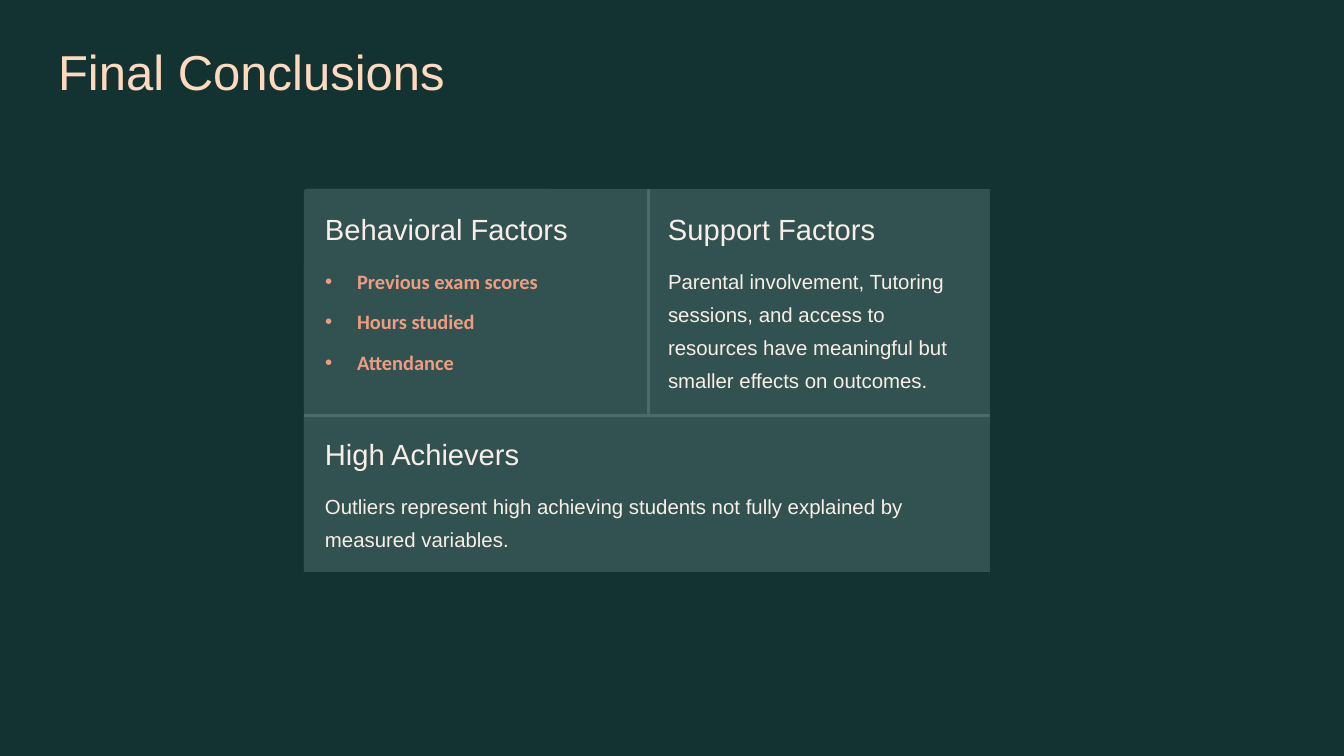
from pptx import Presentation
from pptx.dml.color import RGBColor
from pptx.enum import shapes, text
from pptx.oxml.ns import qn
from pptx.util import Pt
from lxml import etree

PX = 914400 // 84
PANEL, RULE = "315251", "4A6B6A"
CREAM, CORAL, PEACH = "F9EEE7", "EF9C82", "FFD9BE"
PAD = 21
KIND = shapes.MSO_SHAPE


def emu(*vals):
    return [v * PX for v in vals]


def paint(target, color):
    target.solid()
    target.fore_color.rgb = RGBColor.from_string(color)


def block(slide, box, color, radius=0):
    kind = KIND.ROUNDED_RECTANGLE if radius else KIND.RECTANGLE
    shape = slide.shapes.add_shape(kind, *emu(*box))
    shape.shadow.inherit = False
    if radius:
        shape.adjustments[0] = min(0.5, radius / min(box[2:]))
    paint(shape.fill, color)
    shape.line.fill.background()


def bullet(para):
    props = para._p.get_or_add_pPr()
    props.set("marL", str(32 * PX))
    props.set("indent", str(-32 * PX))
    etree.SubElement(props, qn("a:buFont")).set("typeface", "Arial")
    etree.SubElement(props, qn("a:buChar")).set("char", "•")


def write(shape, lines, size, lead, color, font="Arial", wrap=True, bullets=False):
    """Fill a text shape with lines set at an exact leading in points."""
    frame = shape.text_frame
    frame.margin_left = frame.margin_right = 0
    frame.margin_top = frame.margin_bottom = 0
    frame.auto_size = text.MSO_AUTO_SIZE.NONE
    frame.vertical_anchor = text.MSO_ANCHOR.TOP
    frame.word_wrap = wrap
    for i, line in enumerate(lines):
        para = frame.add_paragraph() if i else frame.paragraphs[0]
        para.text = line
        para.alignment = text.PP_ALIGN.LEFT
        para.line_spacing = Pt(lead)
        if i:
            para.space_before = Pt(6.4)
        if bullets:
            bullet(para)
            para.font.bold = True
        para.font.name = font
        para.font.size = Pt(size)
        paint(para.font.fill, color)


def title(slide, box, words):
    shape = slide.shapes.title
    shape.left, shape.top, shape.width, shape.height = emu(*box)
    write(shape, [words], 42, 52.5, PEACH, wrap=False)


def card(slide, box, head, lines, radius=0, rule=None, bullets=False):
    """Draw one cell with its heading, body and optional dividing rule."""
    x, y, w, h = box
    block(slide, box, PANEL, radius)
    if rule:
        block(slide, (x, y, *rule), RULE, 3)
    label = slide.shapes.add_textbox(*emu(x + PAD, y + PAD, 295, 37))
    write(label, [head], 25, 31.5, CREAM, wrap=False)
    body = slide.shapes.add_textbox(*emu(x + PAD, y + 71, w - 2 * PAD, h - 71 - PAD))
    color, font = (CORAL, "Calibri") if bullets else (CREAM, "Arial")
    write(body, lines, 17.5, 28.5, color, font, bullets=bullets)


def grid(slide, box):
    x, y, w, h = box
    half, top = w // 2, 225
    block(slide, box, PANEL, 3)
    card(slide, (x, y, half, top), "Behavioral Factors",
         ["Previous exam scores", "Hours studied", "Attendance"],
         radius=3, bullets=True)
    card(slide, (x + half, y, half, top), "Support Factors",
         ["Parental involvement, Tutoring sessions, and access to resources "
          "have meaningful but smaller effects on outcomes."], rule=(3, top))
    card(slide, (x, y + top, w, h - top), "High Achievers",
         ["Outliers represent high achieving students not fully explained "
          "by measured variables."], rule=(w, 3))


def main():
    deck = Presentation()
    deck.slide_width, deck.slide_height = emu(1344, 756)
    slide = deck.slides.add_slide(deck.slide_layouts[5])
    paint(slide.background.fill, "123332")
    title(slide, (58, 39, 491, 61), "Final Conclusions")
    grid(slide, (304, 189, 686, 383))
    deck.save("out.pptx")


if __name__ == "__main__":
    main()
